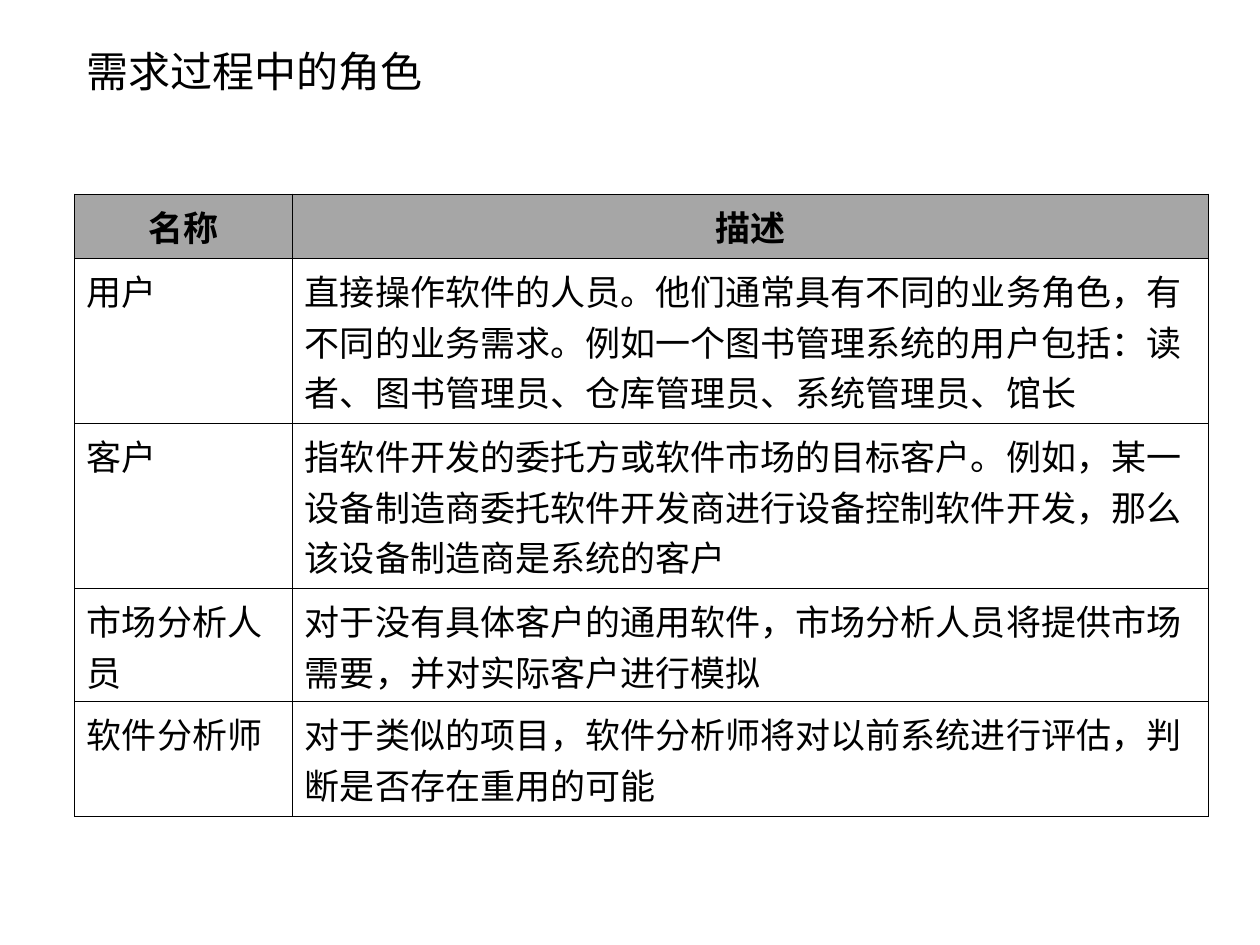
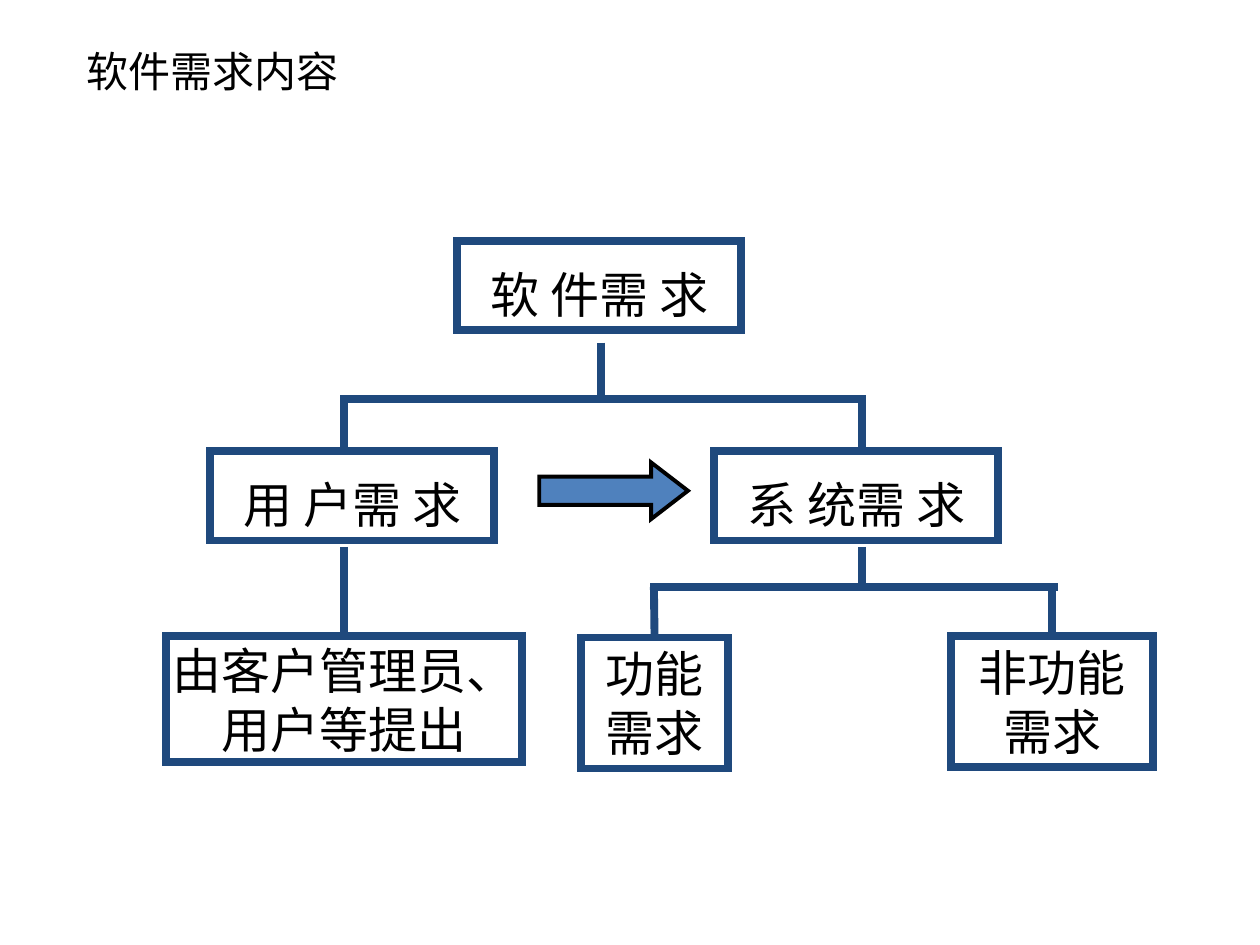
from dataclasses import dataclass
from typing import Optional

from lxml.etree import SubElement
from pptx import Presentation
from pptx.dml.color import RGBColor
from pptx.enum.shapes import MSO_CONNECTOR as Conn, MSO_SHAPE as Shape
from pptx.enum.text import MSO_ANCHOR as Anchor, PP_ALIGN as Align
from pptx.oxml.ns import qn
from pptx.util import Inches, Pt


@dataclass(frozen=True)
class Theme:
    """Colours, fonts and sizes shared by the slides."""
    black: RGBColor = RGBColor(0, 0, 0)
    navy: RGBColor = RGBColor(0x1F, 0x49, 0x7D)
    blue: RGBColor = RGBColor(0x4F, 0x81, 0xBD)
    grey: RGBColor = RGBColor(0xA6, 0xA6, 0xA6)
    font: str = "Noto Sans CJK SC"
    box_font: str = "Noto Sans CJK JP"
    detail_font: str = "Arial"
    title_size: int = 24
    table_size: int = 20
    box_size: int = 28
    line_width: float = 4.5
    arrow_width: float = 2.25
    border_width: float = 0.45


THEME = Theme()


@dataclass(frozen=True)
class Box:
    """A framed node of the requirements tree."""
    name: str
    text: str
    left: float
    top: float
    width: float = 2.25
    height: float = 0.71
    font: str = THEME.box_font
    spacing: Optional[float] = 1.3
    anchor: Anchor = Anchor.TOP
    wrap: bool = True


@dataclass(frozen=True)
class Line:
    """A tree line, optionally joined to the top of a box."""
    x1: float
    y1: float
    x2: float
    y2: float
    joins: Optional[str] = None


COL_WIDTHS = (1.73, 7.27)
ROW_HEIGHTS = (0.51, 1.31, 1.31, 0.9, 0.91)
ROLES = (
    ("名称", "描述"),
    ("用户", "直接操作软件的人员。他们通常具有不同的业务角色，有不同的业务需求。"
             "例如一个图书管理系统的用户包括：读者、图书管理员、仓库管理员、系统管理员、馆长"),
    ("客户", "指软件开发的委托方或软件市场的目标客户。例如，某一设备制造商委托软件开发商"
             "进行设备控制软件开发，那么该设备制造商是系统的客户"),
    ("市场分析人员", "对于没有具体客户的通用软件，市场分析人员将提供市场需要，并对实际客户进行模拟"),
    ("软件分析师", "对于类似的项目，软件分析师将对以前系统进行评估，判断是否存在重用的可能"),
)

BOXES = (
    Box("software", "软 件需 求", 3.63, 1.91),
    Box("user", "用 户需 求", 1.67, 3.58),
    Box("system", "系 统需 求", 5.67, 3.58),
    Box("functional", "功能需求", 4.61, 5.06, 1.17, 1.04, spacing=None),
    Box("non_functional", "非功能需求", 7.55, 5.05, 1.6, 1.04, spacing=None),
    Box("proposers", "由客户管理员、\n用户等提出", 1.32, 5.05, 2.82, 1,
        THEME.detail_font, None, Anchor.MIDDLE, False),
)

LINES = (
    Line(4.77, 2.72, 4.77, 3.14),
    Line(2.7, 3.17, 6.87, 3.17),
    Line(2.73, 3.17, 2.73, 3.58),
    Line(6.84, 3.18, 6.84, 3.6),
    Line(6.84, 4.34, 6.84, 4.64),
    Line(5.16, 4.66, 8.4, 4.66),
    Line(5.19, 4.66, 5.19, 5.06, "functional"),
    Line(8.35, 4.66, 8.35, 5.05, "non_functional"),
    Line(2.73, 4.34, 2.73, 5.05, "proposers"),
)


def write(tf, text: str, *, size: int, font: str = THEME.font, bold: bool = False,
          align: Align = Align.LEFT, spacing: Optional[float] = None) -> None:
    """Fill a text frame with one paragraph per line of text."""
    for i, line in enumerate(text.split("\n")):
        p = tf.add_paragraph() if i else tf.paragraphs[0]
        p.alignment = align
        if spacing:
            p.line_spacing = spacing
        r = p.add_run()
        r.text = line
        r.font.size, r.font.bold, r.font.name = Pt(size), bold, font
        r.font.color.rgb = THEME.black
        SubElement(r.font._element, qn("a:ea")).set("typeface", font)


def add_titled_slide(prs, title: str):
    """Add a blank slide with the shared title."""
    s = prs.slides.add_slide(prs.slide_layouts[6])
    sp = s.shapes.add_textbox(Inches(0.59), Inches(0.28), Inches(6.58), Inches(0.56))
    tf = sp.text_frame
    tf.word_wrap, tf.vertical_anchor = True, Anchor.MIDDLE
    write(tf, title, size=THEME.title_size)
    return s


def set_borders(cell) -> None:
    """Draw a thin border on every side of a cell."""
    tc_pr = cell._tc.get_or_add_tcPr()
    for side in ("lnL", "lnR", "lnT", "lnB"):
        ln = SubElement(tc_pr, qn(f"a:{side}"), w=str(Pt(THEME.border_width)))
        fill = SubElement(ln, qn("a:solidFill"))
        SubElement(fill, qn("a:srgbClr"), val=str(THEME.black))


def add_role_table(s) -> None:
    """Add the table of roles."""
    table = s.shapes.add_table(len(ROLES), len(COL_WIDTHS), Inches(0.59), Inches(1.54),
                               Inches(sum(COL_WIDTHS)), Inches(sum(ROW_HEIGHTS))).table
    for column, width in zip(table.columns, COL_WIDTHS):
        column.width = Inches(width)
    for i, (row, height) in enumerate(zip(table.rows, ROW_HEIGHTS)):
        row.height = Inches(height)
        header = i == 0
        for cell, text in zip(row.cells, ROLES[i]):
            set_borders(cell)
            if header:
                cell.fill.solid()
                cell.fill.fore_color.rgb = THEME.grey
            else:
                cell.fill.background()
            write(cell.text_frame, text, size=THEME.table_size, bold=header,
                  align=Align.CENTER if header else Align.LEFT)


def add_outlined(s, kind: Shape, left: float, top: float, width: float, height: float,
                 color: RGBColor, line_width: float):
    """Add an unfilled shape with a sharp-cornered outline."""
    sp = s.shapes.add_shape(kind, Inches(left), Inches(top), Inches(width), Inches(height))
    sp.shadow.inherit = False
    sp.fill.background()
    sp.line.color.rgb, sp.line.width = color, Pt(line_width)
    SubElement(sp._element.spPr.find(qn("a:ln")), qn("a:miter"), lim="800000")
    return sp


def add_box(s, box: Box):
    """Add a framed box with centred text."""
    sp = add_outlined(s, Shape.RECTANGLE, box.left, box.top, box.width, box.height,
                      THEME.navy, THEME.line_width)
    tf = sp.text_frame
    tf.word_wrap, tf.vertical_anchor = box.wrap, box.anchor
    write(tf, box.text, size=THEME.box_size, font=box.font,
          align=Align.CENTER, spacing=box.spacing)
    return sp


def add_line(s, line: Line, boxes: dict) -> None:
    """Add a tree line and join it to its box."""
    cx = s.shapes.add_connector(Conn.STRAIGHT, Inches(line.x1), Inches(line.y1),
                                Inches(line.x2), Inches(line.y2))
    if line.joins:
        cx.end_connect(boxes[line.joins], 0)
    cx.line.color.rgb, cx.line.width = THEME.navy, Pt(THEME.line_width)
    SubElement(cx._element.spPr, qn("a:effectLst"))


def add_arrow(s) -> None:
    """Add the arrow from user to system requirements."""
    sp = add_outlined(s, Shape.RIGHT_ARROW, 4.28, 3.67, 1.18, 0.45,
                      THEME.black, THEME.arrow_width)
    sp.adjustments[1] = 0.65
    sp.fill.solid()
    sp.fill.fore_color.rgb = THEME.blue


def main() -> None:
    """Build both slides and save them."""
    prs = Presentation()
    prs.slide_width, prs.slide_height = Inches(10), Inches(7.5)
    add_role_table(add_titled_slide(prs, "需求过程中的角色"))
    s = add_titled_slide(prs, "软件需求内容")
    boxes = {box.name: add_box(s, box) for box in BOXES}
    for line in LINES:
        add_line(s, line, boxes)
    add_arrow(s)
    prs.save("out.pptx")


if __name__ == "__main__":
    main()
